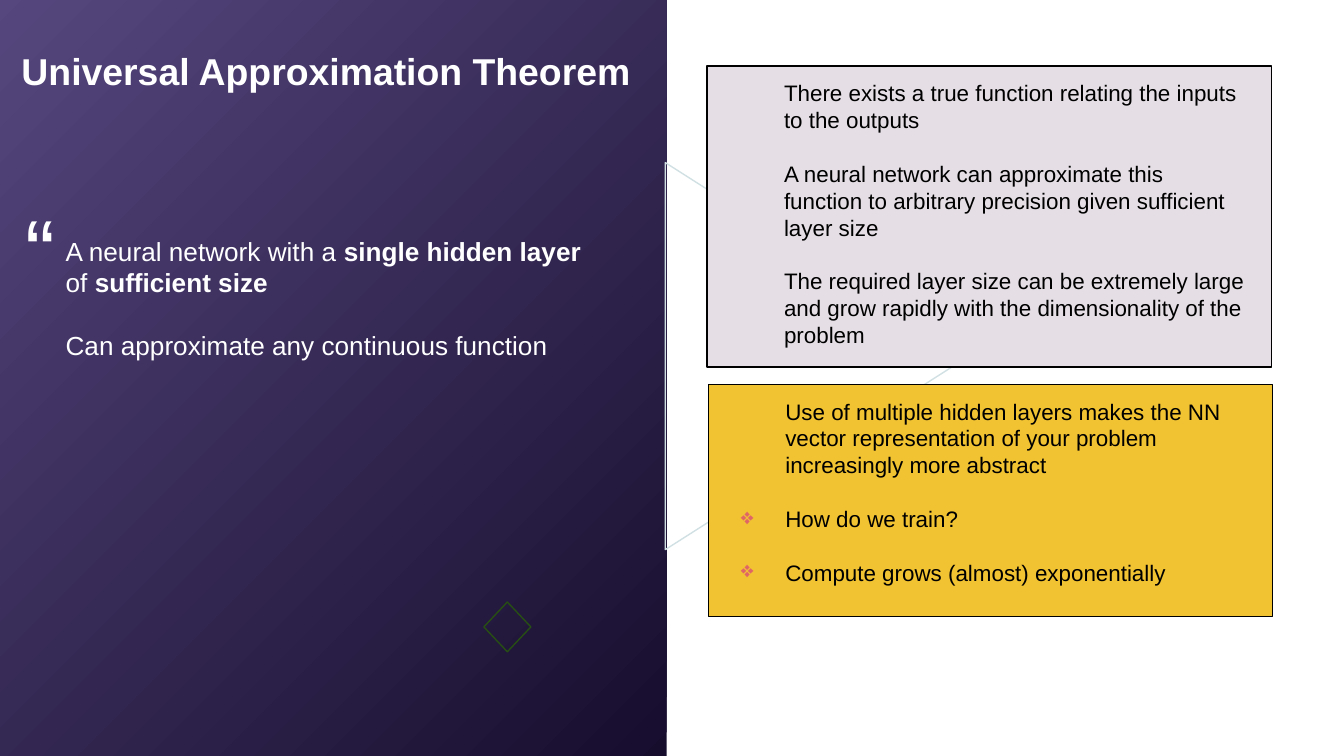
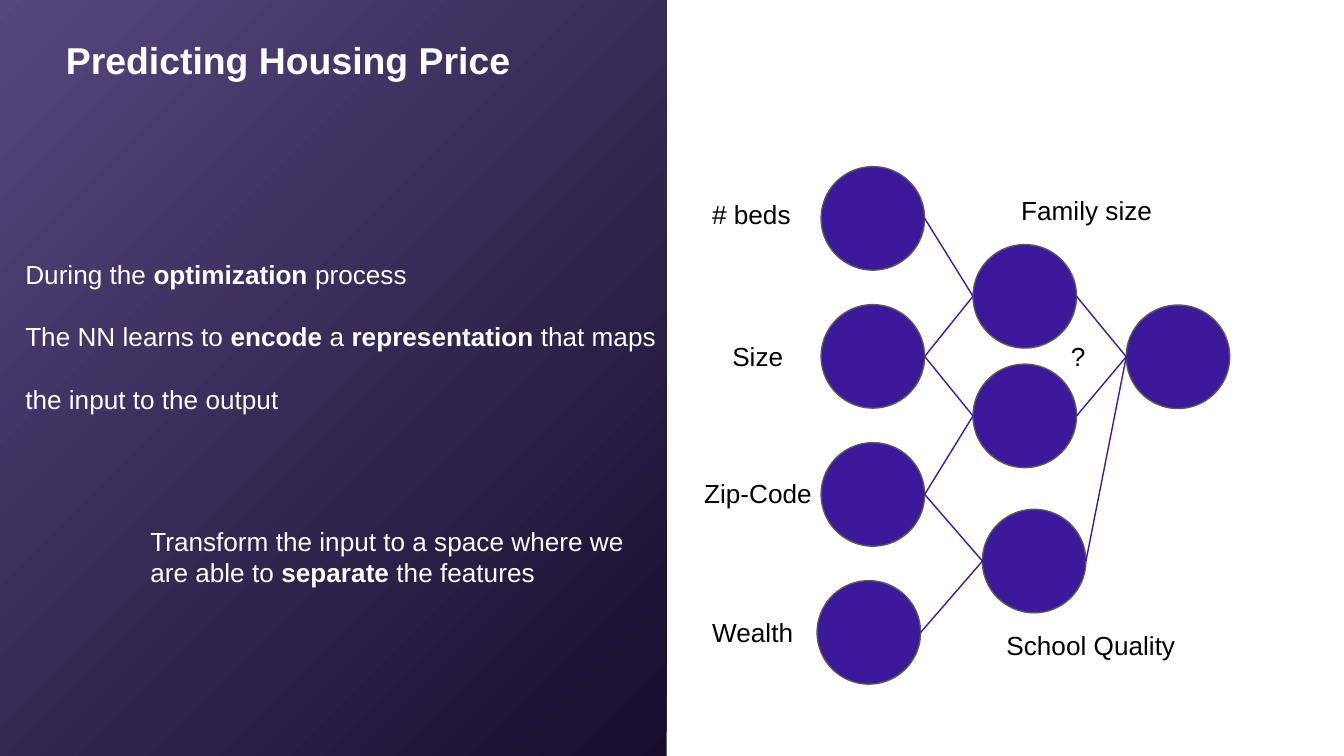
from dataclasses import dataclass
from itertools import product

from lxml.etree import SubElement
from pptx import Presentation
from pptx.dml.color import RGBColor as RGB
from pptx.enum.shapes import MSO_CONNECTOR as Link, MSO_SHAPE as Form
from pptx.enum.text import MSO_ANCHOR as Anchor, MSO_AUTO_SIZE as Fit, PP_ALIGN as Align
from pptx.oxml import parse_xml
from pptx.oxml.ns import nsdecls, qn
from pptx.util import Inches, Pt

WIDE, HIGH = Inches(10), Inches(5.625)
COL = ROW = WIDE // 100  # square grid, 100 columns across


@dataclass(frozen=True)
class Theme:
    face: str = "Arial"
    light: str = "FFFFFF"
    dark: str = "000000"
    glow: str = "56477E"
    night: str = "160D2D"
    node: str = "3C189B"
    rim: str = "595959"
    mauve: str = "E5DFE5"
    gold: str = "F1C232"
    mark: str = "E06666"
    pale: str = "D0E0E3"
    leaf: str = "274E13"
    head: int = 20
    body: int = 14
    note: int = 12
    quote: int = 48
    thin: float = 0.75


T = Theme()


def cells(x, y, w, h):
    return round(x * COL), round(y * ROW), round(w * COL), round(h * ROW)


def shape(slide, form, box, fill=None, line=None, turn=0):
    item = slide.shapes.add_shape(form, *cells(*box))
    item.shadow.inherit = False
    item.rotation = turn
    if fill:
        item.fill.solid()
        item.fill.fore_color.rgb = RGB.from_string(fill)
    else:
        item.fill.background()
    if line:
        item.line.color.rgb = RGB.from_string(line)
        item.line.width = Pt(T.thin)
    else:
        item.line.fill.background()
    return item


def panel(slide):
    """Dark left half, lit from its top left corner."""
    item = shape(slide, Form.RECTANGLE, (-0.6, -0.4, 50.2, 57.5))
    stops = "".join(
        f'<a:gs pos="{pos}"><a:srgbClr val="{tint}"/></a:gs>'
        for pos, tint in ((0, T.glow), (100000, T.night))
    )
    grad = parse_xml(
        f'<a:gradFill {nsdecls("a")}><a:gsLst>{stops}</a:gsLst><a:path path="circle">'
        '<a:fillToRect r="100000" b="100000"/></a:path></a:gradFill>'
    )
    props = item.fill._xPr
    props.replace(props.find(qn("a:noFill")), grad)


def bullet(para, sign):
    props = para._p.get_or_add_pPr()
    tint = SubElement(props, qn("a:buClr"))
    SubElement(tint, qn("a:srgbClr"), val=T.mark)
    SubElement(props, qn("a:buChar"), char=sign)


def write(frame, lines, size, tint, bold=False, inset=0, gap=0, signs=0):
    """Fill a frame; **words** turn bold and the last `signs` lines get bullets."""
    look = dict(word_wrap=True, auto_size=Fit.SHAPE_TO_FIT_TEXT, vertical_anchor=Anchor.TOP)
    for side in ("left", "right", "top", "bottom"):
        look[f"margin_{side}"] = COL
    for key, val in look.items():
        setattr(frame, key, val)
    for i, line in enumerate(lines):
        para = frame.paragraphs[0] if i == 0 else frame.add_paragraph()
        para.alignment = Align.LEFT
        para.space_before = Pt(gap if i else 0)
        props = para._p.get_or_add_pPr()
        listed = i >= len(lines) - signs
        props.set("marL", str(round(inset * COL)))
        props.set("indent", str(round(-3.3 * COL) if listed else 0))
        if listed:
            bullet(para, "❖")
        for j, part in enumerate(line.split("**")):
            if not part:
                continue
            run = para.add_run()
            run.text = part
            font = dict(name=T.face, size=Pt(size), bold=bold or j % 2 == 1)
            for key, val in font.items():
                setattr(run.font, key, val)
            run.font.color.rgb = RGB.from_string(tint)


def text(slide, box, lines, size=T.body, tint=T.light, **more):
    item = slide.shapes.add_textbox(*cells(*box))
    write(item.text_frame, lines, size, tint, **more)


def start(deck, name, x, y):
    """New slide with its dark panel and title."""
    slide = deck.slides.add_slide(deck.slide_layouts[5])
    panel(slide)
    title = slide.shapes.title
    spot = zip(("left", "top", "width", "height"), cells(x, y, 55.7, 5.4))
    for key, val in spot:
        setattr(title, key, val)
    write(title.text_frame, [name], T.head, T.light, bold=True)
    slide.shapes._spTree.append(title._element)
    return slide


def card(slide, box, fill, lines, signs=0):
    x, y, w, h = box
    shape(slide, Form.RECTANGLE, box, fill, T.dark)
    text(slide, (x - 0.25, y, w - 0.5, h), lines, T.note, T.dark,
         inset=5, gap=T.note * 1.2, signs=signs)


def node(slide, x, y):
    return shape(slide, Form.OVAL, (x, y, 7.7, 7.7), T.node, T.rim)


def join(slide, a, b):
    """Line from the right side of a to the left side of b."""
    line = slide.shapes.add_connector(
        Link.STRAIGHT, a.left + a.width, a.top + a.height // 2,
        b.left, b.top + b.height // 2)
    line.line.color.rgb = RGB.from_string(T.node)
    line.line.width = Pt(T.thin)
    SubElement(line._element.spPr, qn("a:effectLst"))


def theorem(deck):
    slide = start(deck, "Universal Approximation Theorem", 0.6, 2.6)
    text(slide, (3.9, 16.5, 42.4, 16.2), [
        "A neural network with a **single hidden layer** of **sufficient size**",
        "Can approximate any continuous function",
    ], gap=T.body * 1.2)
    shape(slide, Form.DIAMOND, (36, 44.8, 3.5, 3.7), line=T.leaf)
    shape(slide, Form.ISOSCELES_TRIANGLE, (46.4, 15.2, 28.8, 22.6), line=T.pale, turn=90)
    text(slide, (-4.1, 13.4, 9.5, 10.1), ["“"], T.quote, inset=5)
    card(slide, (52.6, 4.9, 42, 22.4), T.mauve, [
        "There exists a true function relating the inputs to the outputs",
        "A neural network can approximate this function to arbitrary precision "
        "given sufficient layer size",
        "The required layer size can be extremely large and grow rapidly with "
        "the dimensionality of the problem",
    ])
    card(slide, (52.7, 28.6, 42, 17.3), T.gold, [
        "Use of multiple hidden layers makes the NN vector representation of "
        "your problem increasingly more abstract",
        "How do we train?",
        "Compute grows (almost) exponentially",
    ], signs=2)


def network(slide):
    ins = [node(slide, x, 12.4 + 10.27 * i)
           for i, x in enumerate((61.1, 61.1, 61.1, 60.8))]
    mids = [node(slide, x, y) for x, y in ((72.4, 18.2), (72.4, 27.1), (73.1, 37.9))]
    out = node(slide, 83.8, 22.7)
    for i, j in product(range(4), range(3)):
        if i in (j, j + 1) and (i, j) != (3, 3):
            join(slide, ins[i], mids[j])
    for mid in mids:
        join(slide, mid, out)
    for name, x, y, w in (
        ("# beds", 52, 13.8, 10.5),
        ("Size", 53.5, 24.3, 10.5),
        ("Zip-Code", 51.4, 34.5, 10.5),
        ("Wealth", 52, 44.9, 10.5),
        ("Family size", 75, 13.5, 16),
        ("?", 78.7, 24.3, 7.1),
        ("School Quality", 73.9, 45.8, 21),
    ):
        text(slide, (x, y, w, 4.4), [name], tint=T.dark)


def housing(deck):
    slide = start(deck, "Predicting Housing Price", 3.9, 1.8)
    network(slide)
    text(slide, (0.9, 18.2, 51.3, 13.8), [
        "During the **optimization** process",
        "The NN learns to **encode** a **representation** that maps",
        "the input to the output",
    ], gap=T.body * 1.2)
    text(slide, (10.2, 38.1, 37.7, 6.7), [
        "Transform the input to a space where we are able to **separate** the features",
    ])


def main():
    deck = Presentation()
    deck.slide_width, deck.slide_height = WIDE, HIGH
    theorem(deck)
    housing(deck)
    deck.save("out.pptx")


if __name__ == "__main__":
    main()
